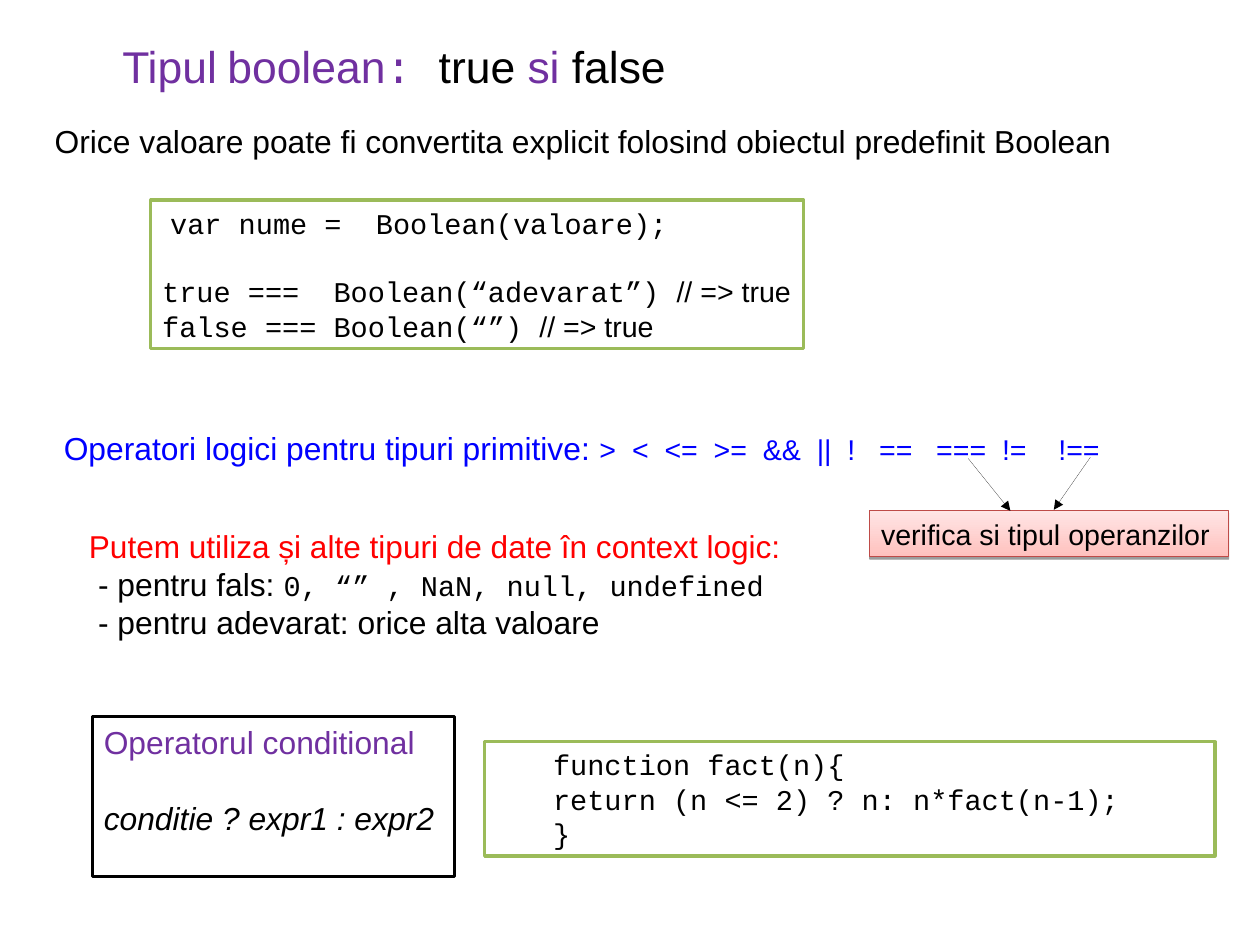
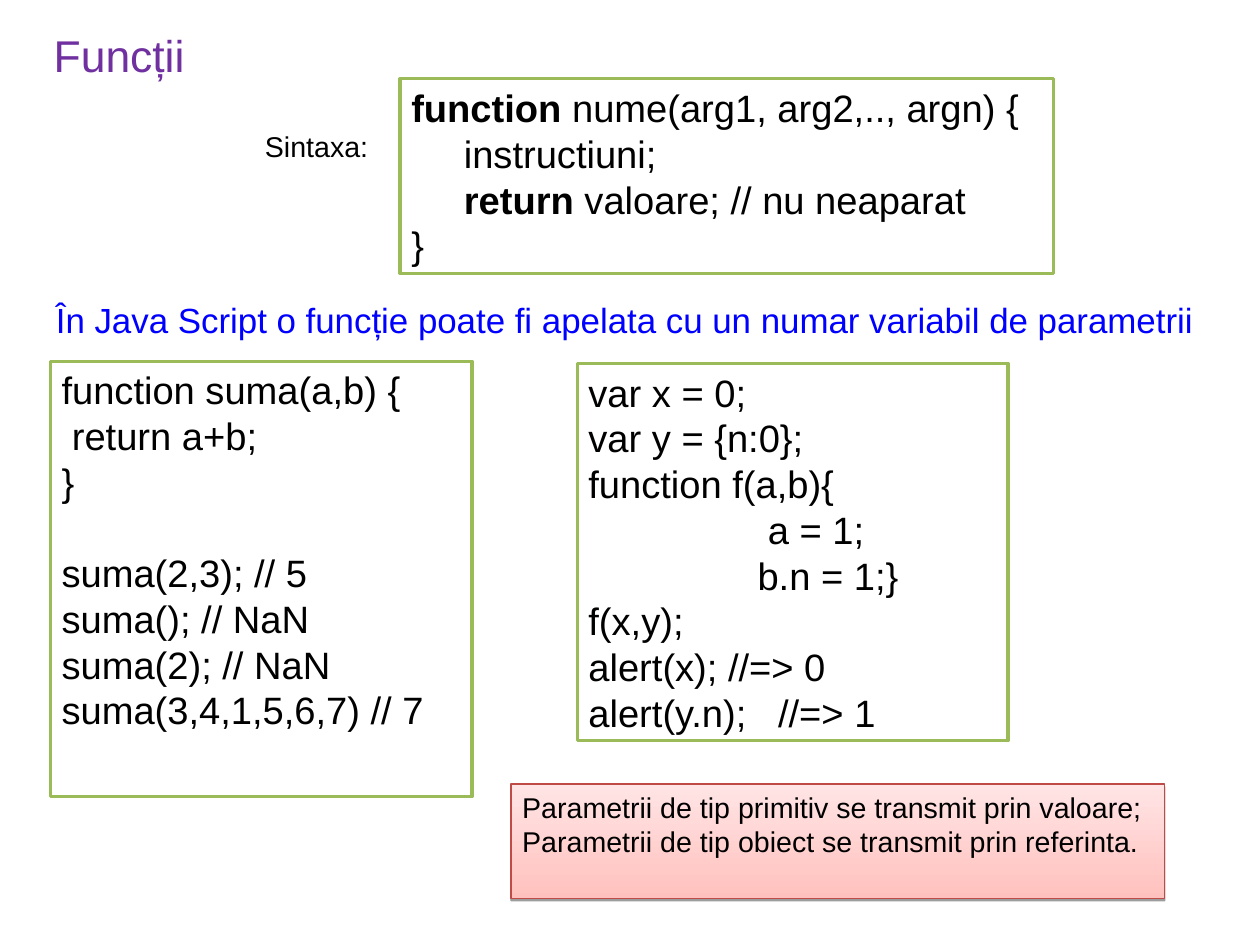
"""Build two slides on the boolean type and on functions."""
from lxml import etree
from pptx import Presentation, util as u
from pptx.dml.color import RGBColor
from pptx.enum import shapes, text
from pptx.oxml.ns import qn

BLACK, PURPLE, BLUE, RED = "000000", "7030A0", "0000FF", "FF0000"
GREEN, ROSE = "9BBB59", "BE4B48"
ROSE_STOPS = ("FFC1BE", "FFE5E5")
LINE_PITCH = 1.2

STYLES = {
    "title": ("Arial", 28, PURPLE),
    "title_mono": ("Courier New", 28, PURPLE),
    "title_space": ("Arial", 24, PURPLE),
    "title_black": ("Arial", 28, BLACK),
    "body": ("Arial", 20, BLACK),
    "italic": ("Arial", 20, BLACK, False, True),
    "heading": ("Arial", 20, PURPLE),
    "alert": ("Arial", 19.9, RED),
    "blue": ("Arial", 20, BLUE),
    "blue_small": ("Arial", 18, BLUE),
    "blue_large": ("Arial", 22, BLUE),
    "small": ("Arial", 18, BLACK),
    "mono": ("Courier New", 18, BLACK),
    "code": ("Arial", 24, BLACK),
    "keyword": ("Arial", 24, BLACK, True),
}

FRAMES = {"plain": None, "green": GREEN, "black": BLACK, "rose": ROSE}


def line(*runs, indent=0, gap=0):
    """Describe a paragraph: (text, style) runs, left indent in inches, blank lines above."""
    return runs, indent, gap


def lines(style, *rows, indent=0):
    """Describe one-run paragraphs that share a style and an indent."""
    return [line((row, style), indent=indent) for row in rows]


SLIDES = [
    {
        "title": ((0.97, 0.29, 4.95, 0.57), [line(
            ("Tipul", "title"), (" ", "title_space"), ("boolean", "title"),
            (": ", "title_mono"), ("true ", "title_black"), ("si ", "title"),
            ("false", "title_black"))]),
        "boxes": [
            ("green", (1.32, 1.75, 5.71, 1.3), [
                line(("var nume =  Boolean(valoare);", "mono"), indent=0.07),
                line(("true ===  Boolean(“adevarat”) ", "mono"), ("// => true", "small"), gap=1),
                line(("false === Boolean(“”) ", "mono"), ("// => true", "small"))]),
            ("plain", (0.38, 1.02, 9.45, 0.43), lines(
                "body", "Orice valoare poate fi convertita explicit folosind obiectul predefinit Boolean")),
            ("plain", (0.68, 4.56, 6.33, 1.43), [
                line(("Putem utiliza și alte tipuri de date în context logic:", "alert")),
                line(("- pentru fals: ", "body"), ("0, “” , NaN, null, undefined", "mono"), indent=0.08),
                line(("- pentru adevarat: orice alta valoare", "body"), indent=0.08)]),
            ("plain", (0.46, 3.7, 10.47, 0.43), [line(
                ("Operatori logici pentru tipuri primitive: ", "blue"),
                (">  <  <=  >=  &&  ||  !   ==   ===  !=    !==", "blue_small"))]),
            ("black", (0.81, 6.27, 3.17, 1.4), [
                line(("Operatorul conditional", "heading")),
                line(("conditie ? expr1 : expr2", "italic"), gap=1)]),
            ("green", (4.24, 6.49, 6.39, 1), lines(
                "mono", "function fact(n){", "return (n <= 2) ? n: n*fact(n-1);", "}", indent=0.5)),
            ("rose", (7.61, 4.47, 3.14, 0.4), lines("small", "verifica si tipul operanzilor")),
        ],
        "arrows": [(9.54, 4, 9.22, 4.46), (8.47, 4.01, 8.84, 4.47)],
    },
    {
        "title": ((0.37, 0.2, 1.69, 0.53), lines("title", "Funcții")),
        "boxes": [
            ("plain", (2.22, 1.08, 1.17, 0.38), lines("small", "Sintaxa:")),
            ("green", (3.5, 0.69, 5.72, 1.7), [
                line(("function", "keyword"), (" nume(arg1, arg2,.., argn) {", "code")),
                line(("instructiuni;", "code"), indent=0.46),
                line(("return", "keyword"), (" valoare; // nu neaparat", "code"), indent=0.46),
                line(("}", "code"))]),
            ("plain", (0.39, 2.56, 10.18, 0.44), lines(
                "blue_large", "În Java Script o funcție poate fi apelata cu un numar variabil de parametrii")),
            ("green", (0.44, 3.16, 3.69, 3.81), [
                line(("function suma(a,b) {", "code")),
                line(("return a+b;", "code"), indent=0.09),
                line(("}", "code")),
                line(("suma(2,3); // 5", "code"), gap=1),
                *lines("code", "suma(); // NaN", "suma(2); // NaN", "suma(3,4,1,5,6,7) // 7")]),
            ("green", (5.05, 3.18, 3.77, 3.3), [
                *lines("code", "var x = 0;", "var y = {n:0};", "function f(a,b){"),
                line(("a = 1;", "code"), indent=1.57),
                line(("b.n = 1;}", "code"), indent=1.48),
                *lines("code", "f(x,y);", "alert(x); //=> 0", "alert(y.n);   //=> 1")]),
            ("rose", (4.47, 6.86, 5.72, 1), lines(
                "small", "Parametrii de tip primitiv se transmit prin valoare;",
                "Parametrii de tip obiect se transmit prin referinta.")),
        ],
        "arrows": [],
    },
]


def colour(value):
    """Turn a hex string into a colour."""
    return RGBColor.from_string(value)


def inches(values):
    """Turn numbers into lengths."""
    return [u.Inches(value) for value in values]


def write(box, content):
    """Fill a shape with styled paragraphs."""
    frame = box.text_frame
    frame.word_wrap = True
    frame.auto_size = text.MSO_AUTO_SIZE.NONE
    frame.vertical_anchor = text.MSO_ANCHOR.TOP
    frame.margin_left, frame.margin_top, frame.margin_right, frame.margin_bottom = inches(
        (0.1, 0.05, 0, 0.05))
    for index, (runs, indent, gap) in enumerate(content):
        para = frame.paragraphs[0] if index == 0 else frame.add_paragraph()
        para.alignment = text.PP_ALIGN.LEFT
        pitch = LINE_PITCH * max(STYLES[style][1] for _, style in runs)
        para.line_spacing = u.Pt(pitch)
        para.space_before = u.Pt(gap * pitch)
        if indent:
            properties = para._p.get_or_add_pPr()
            properties.set("marL", str(u.Inches(indent)))
            properties.set("indent", "0")
        for words, style in runs:
            name, size, ink, bold, italic = (*STYLES[style], False, False)[:5]
            span = para.add_run()
            span.text = words
            font = span.font
            font.name, font.size, font.bold, font.italic = name, u.Pt(size), bold, italic
            font.color.rgb = colour(ink)


def add_rose_look(box):
    """Give a box the rose gradient and the short shadow below it."""
    box.fill.gradient()
    box.fill.gradient_angle = 90
    for stop, value in zip(box.fill.gradient_stops, ROSE_STOPS):
        stop.color.rgb = colour(value)
    effects = box._element.spPr.find(qn("a:effectLst"))
    shadow = etree.SubElement(effects, qn("a:outerShdw"), blurRad="0",
                              dist=str(u.Pt(1.6)), dir="5400000", rotWithShape="0")
    ink = etree.SubElement(shadow, qn("a:srgbClr"), val=BLACK)
    etree.SubElement(ink, qn("a:alpha"), val="38000")


def add_box(page, frame, at, content):
    """Add a framed box or a plain text box."""
    edge = FRAMES[frame]
    if edge is None:
        box = page.shapes.add_textbox(*inches(at))
    else:
        box = page.shapes.add_shape(shapes.MSO_SHAPE.RECTANGLE, *inches(at))
        box.shadow.inherit = False
        box.line.color.rgb = colour(edge)
        box.line.width = u.Pt(0.75 if frame == "rose" else 2)
        if frame == "rose":
            add_rose_look(box)
        else:
            box.fill.solid()
            box.fill.fore_color.rgb = colour("FFFFFF")
    write(box, content)


def add_arrow(page, ends):
    """Add a hairline with an arrowhead at its end."""
    arrow = page.shapes.add_connector(shapes.MSO_CONNECTOR.STRAIGHT, *inches(ends))
    arrow.line.color.rgb = colour(BLACK)
    stroke = arrow.line._get_or_add_ln()
    stroke.set("w", "0")
    etree.SubElement(stroke, qn("a:tailEnd"), type="triangle")
    etree.SubElement(arrow._element.spPr, qn("a:effectLst"))


def main():
    """Build and save the deck."""
    deck = Presentation()
    deck.slide_width, deck.slide_height = u.Cm(28), u.Cm(21)
    for content in SLIDES:
        page = deck.slides.add_slide(deck.slide_layouts[5])
        title = page.shapes.title
        at, heading = content["title"]
        title.left, title.top, title.width, title.height = inches(at)
        write(title, heading)
        for box in content["boxes"]:
            add_box(page, *box)
        for ends in content["arrows"]:
            add_arrow(page, ends)
    deck.save("out.pptx")


if __name__ == "__main__":
    main()
